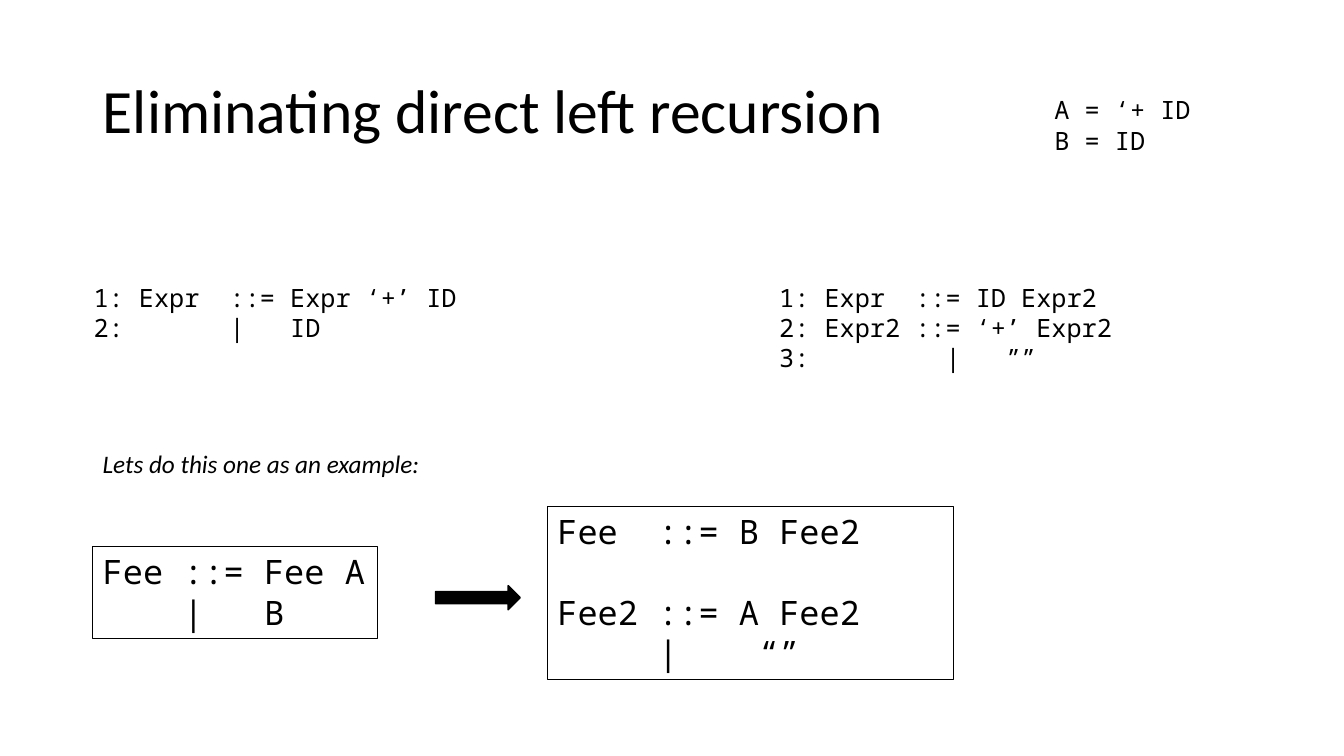
from pptx import Presentation
from pptx.dml.color import RGBColor
from pptx.enum.shapes import MSO_SHAPE as Shape
from pptx.enum.text import MSO_ANCHOR as Anchor, MSO_AUTO_SIZE as AutoSize, PP_ALIGN as Align
from pptx.util import Emu, Pt

EMU_PER_PX = 9144  # 100 px to the inch
BLACK = "000000"
SANS, MONO = "Calibri", "Noto Sans Mono"
TITLE = dict(name=SANS, size=Pt(44))
CAPTION = dict(name=SANS, size=Pt(18), italic=True)
CODE = dict(name=MONO, size=Pt(18))
LARGE_CODE = dict(name=MONO, size=Pt(24))
BLANK_LINE = Pt(29)


def px(length):
    return Emu(length * EMU_PER_PX)


def place(box):
    return [px(length) for length in box]


def color(hex_string):
    return RGBColor.from_string(hex_string)


def write(shape, lines, font_format, wrap=True):
    """Fill a shape with left-aligned lines, one paragraph each."""
    frame = shape.text_frame
    frame.text = "\n".join(lines)
    frame.word_wrap = wrap
    for paragraph in frame.paragraphs:
        paragraph.alignment = Align.LEFT
        for name, value in font_format.items():
            setattr(paragraph.font, name, value)
        paragraph.font.color.rgb = color(BLACK)
    return frame


def add_title(slide, box, text):
    title = slide.shapes.title
    title.left, title.top, title.width, title.height = place(box)
    frame = write(title, [text], TITLE)
    frame.auto_size = AutoSize.NONE
    frame.vertical_anchor = Anchor.MIDDLE
    frame.paragraphs[0].line_spacing = 0.9


def add_text(slide, box, lines, font_format, wrap=True):
    textbox = slide.shapes.add_textbox(*place(box))
    write(textbox, lines, font_format, wrap).auto_size = AutoSize.SHAPE_TO_FIT_TEXT
    return textbox


def add_framed_grammar(slide, box, lines, wrap=True):
    textbox = add_text(slide, box, lines, LARGE_CODE, wrap)
    textbox.line.color.rgb = color(BLACK)
    textbox.line.width = Pt(0.75)
    return textbox


def add_arrow(slide, box):
    arrow = slide.shapes.add_shape(Shape.RIGHT_ARROW, *place(box))
    arrow.shadow.inherit = False
    arrow.fill.solid()
    arrow.fill.fore_color.rgb = color(BLACK)
    arrow.line.color.rgb = color(BLACK)
    arrow.line.width = Pt(1)


def add_expression_grammars(slide, left, top):
    """Grammar before and after the rewrite, side by side."""
    width, step = 428, 680
    add_text(slide, (left, top, width, 71),
             ["1: Expr  ::= Expr ‘+’ ID",
              "2:       |   ID"], CODE)
    add_text(slide, (left + step, top, width, 101),
             ["1: Expr  ::= ID Expr2",
              "2: Expr2 ::= ‘+’ Expr2",
              "3:         |   ””"], CODE)


def add_rewrite_rule(slide, left, top):
    """General rule: left-recursive form, arrow, rewritten form."""
    add_framed_grammar(slide, (left, top + 40, 282, 91),
                       ["Fee ::= Fee A",
                        "    |   B"], wrap=False)
    rewritten = add_framed_grammar(slide, (left + 451, top, 403, 172),
                                   ["Fee  ::= B Fee2",
                                    "Fee2 ::= A Fee2",
                                    "     |    “”"])
    rewritten.text_frame.paragraphs[1].space_before = BLANK_LINE
    add_arrow(slide, (left + 340, top + 79, 84, 24))


def main():
    presentation = Presentation()
    presentation.slide_width, presentation.slide_height = px(1333), px(750)
    slide = presentation.slides.add_slide(presentation.slide_layouts[5])

    # Heading and the substitutions used
    add_title(slide, (92, 40, 1183, 145), "Eliminating direct left recursion")
    add_text(slide, (1036, 89, 156, 71), ["A = ‘+ ID", "B = ID"], CODE, wrap=False)

    # Worked example and general rule
    add_expression_grammars(slide, 83, 275)
    add_text(slide, (92, 440, 340, 40), ["Lets do this one as an example:"],
             CAPTION, wrap=False)
    add_rewrite_rule(slide, 92, 502)

    presentation.save("out.pptx")


if __name__ == "__main__":
    main()
